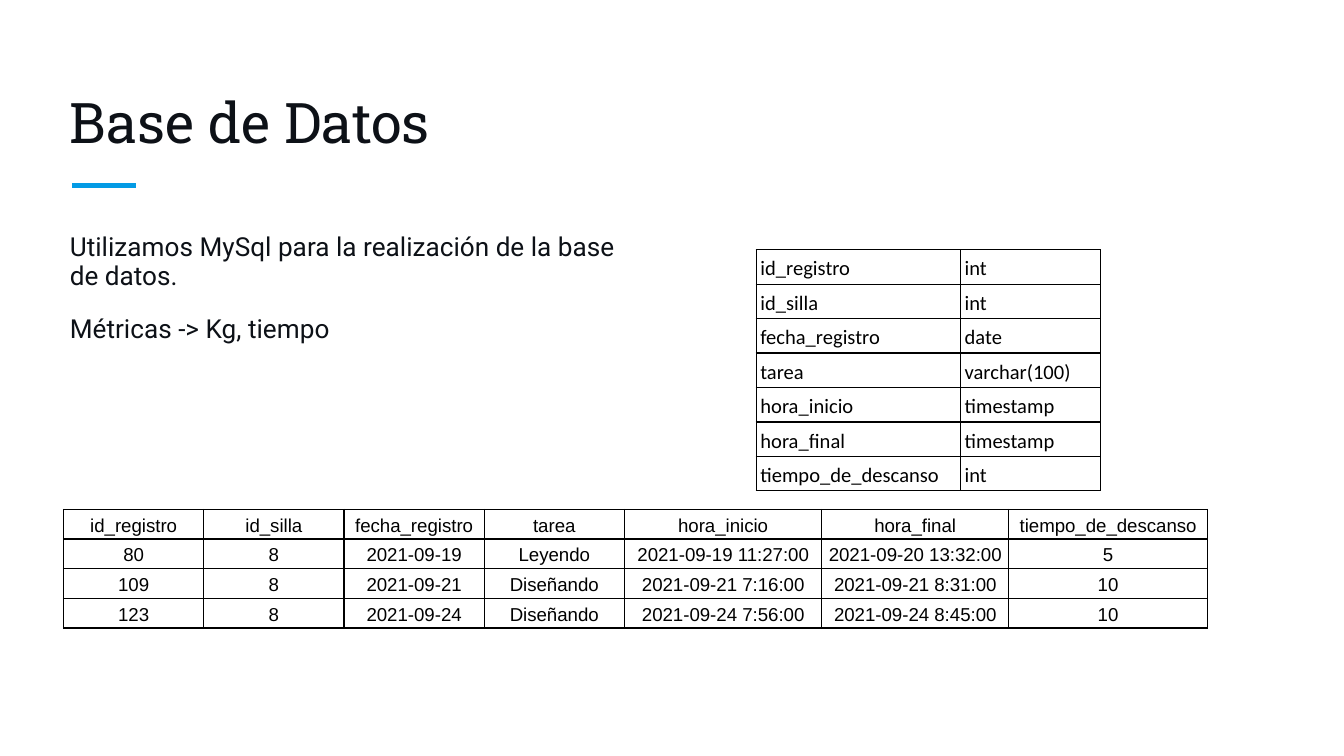
"""Build the database slide with its schema table and sample records."""
from lxml import etree
from pptx import Presentation
from pptx.dml.color import RGBColor
from pptx.enum.shapes import MSO_CONNECTOR
from pptx.enum.text import MSO_ANCHOR, MSO_AUTO_SIZE, PP_ALIGN
from pptx.oxml.ns import qn
from pptx.util import Cm, Pt

LEFT, CENTER = PP_ALIGN.LEFT, PP_ALIGN.CENTER
TOP, MIDDLE, BOTTOM = MSO_ANCHOR.TOP, MSO_ANCHOR.MIDDLE, MSO_ANCHOR.BOTTOM
NO_AUTOFIT = MSO_AUTO_SIZE.NONE
STRAIGHT = MSO_CONNECTOR.STRAIGHT
COLORS = {"ink": "0D1117", "accent": "039BE5", "black": "000000"}


def add_span(para, text, font, size, color):
    span = para.add_run()
    span.text = text
    span.font.name = font
    span.font.size = Pt(size)
    span.font.color.rgb = RGBColor.from_string(COLORS[color])


def add_grid(page, rows, left, top, widths, height, font, size, align, anchor):
    frame = page.shapes.add_table(
        len(rows), len(widths), Cm(left), Cm(top), Cm(sum(widths)), Cm(height * len(rows))
    )
    table = frame.table
    table.first_row = table.horz_banding = False
    for column, width in zip(table.columns, widths):
        column.width = Cm(width)
    for line, values in zip(table.rows, rows):
        line.height = Cm(height)
        for cell, value in zip(line.cells, values):
            cell.margin_left = cell.margin_right = Cm(0.08)
            cell.margin_top = cell.margin_bottom = Cm(0.05)
            cell.vertical_anchor = anchor
            para = cell.text_frame.paragraphs[0]
            para.alignment = align
            para.line_spacing = 1.15
            add_span(para, value, font, size, "black")
            properties = cell._tc.get_or_add_tcPr()
            for side in ("a:lnL", "a:lnR", "a:lnT", "a:lnB"):
                border = etree.SubElement(properties, qn(side), w=str(Pt(0.75)))
                fill = etree.SubElement(border, qn("a:solidFill"))
                etree.SubElement(fill, qn("a:srgbClr"), val=COLORS["black"])
            cell.fill.background()


deck = Presentation()
deck.slide_width, deck.slide_height = Cm(25.4), Cm(14.29)
page = deck.slides.add_slide(deck.slide_layouts[1])

rule = page.shapes.add_connector(STRAIGHT, Cm(1.37), Cm(3.51), Cm(2.57), Cm(3.51))
rule.line.color.rgb = RGBColor.from_string(COLORS["accent"])
rule.line.width = Pt(3)
etree.SubElement(rule._element.spPr, qn("a:effectLst"))

title, body = page.shapes.title, page.placeholders[1]
title.left, title.top, title.width, title.height = Cm(1.07), Cm(1.27), Cm(23.24), Cm(1.91)
body.left, body.top, body.width, body.height = Cm(1.07), Cm(4.14), Cm(11.1), Cm(2.67)
for box, anchor in ((title, BOTTOM), (body, TOP)):
    text = box.text_frame
    text.word_wrap = True
    text.auto_size = NO_AUTOFIT
    text.vertical_anchor = anchor
    text.margin_left = text.margin_right = Cm(0.25)
    text.margin_top = text.margin_bottom = Cm(0.25)

para = title.text_frame.paragraphs[0]
para.alignment = LEFT
add_span(para, "Base de Datos", "Roboto Slab", 30, "ink")

notes = (
    ("Utilizamos MySql para la realización de la base de datos.", 0, 0),
    ("Métricas -> Kg, tiempo", 12, 12),
)
for index, (sentence, before, after) in enumerate(notes):
    text = body.text_frame
    para = text.add_paragraph() if index else text.paragraphs[0]
    properties = para._p.get_or_add_pPr()
    properties.set("marL", "0")
    properties.set("indent", "0")
    etree.SubElement(properties, qn("a:buNone"))
    para.alignment = LEFT
    para.line_spacing = 0.95
    para.space_before, para.space_after = Pt(before), Pt(after)
    add_span(para, sentence, "Roboto", 14, "ink")

schema = (
    ("id_registro", "int"),
    ("id_silla", "int"),
    ("fecha_registro", "date"),
    ("tarea", "varchar(100)"),
    ("hora_inicio", "timestamp"),
    ("hora_final", "timestamp"),
    ("tiempo_de_descanso", "int"),
)
records = (
    [field for field, kind in schema],
    ("80", "8", "2021-09-19", "Leyendo", "2021-09-19 11:27:00", "2021-09-20 13:32:00", "5"),
    ("109", "8", "2021-09-21", "Diseñando", "2021-09-21 7:16:00", "2021-09-21 8:31:00", "10"),
    ("123", "8", "2021-09-24", "Diseñando", "2021-09-24 7:56:00", "2021-09-24 8:45:00", "10"),
)
record_widths = [2.65] * 4 + [3.73, 3.53, 3.76]
add_grid(page, schema, 14.29, 4.72, [3.86, 2.65], 0.58, "Calibri", 11, LEFT, TOP)
add_grid(page, records, 1.2, 9.63, record_widths, 0.56, "Arial", 10, CENTER, MIDDLE)

deck.save("out.pptx")
